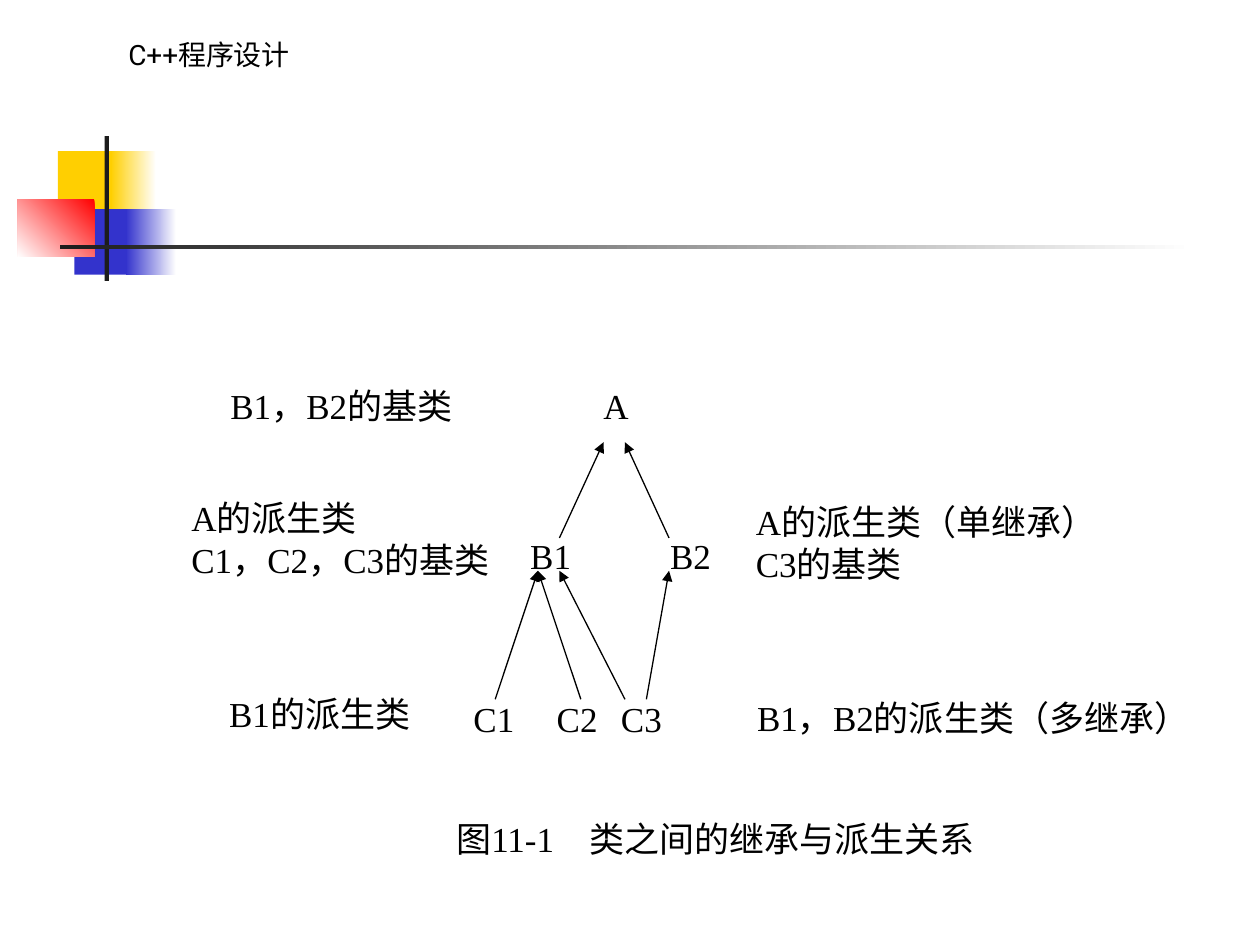
from dataclasses import dataclass, field
from lxml.etree import SubElement
from pptx import Presentation
from pptx.dml.color import RGBColor
from pptx.enum.shapes import MSO_CONNECTOR as Connector, MSO_SHAPE as Shape
from pptx.enum.text import MSO_AUTO_SIZE as AutoSize, PP_ALIGN as Align
from pptx.oxml.ns import qn
from pptx.slide import Slide
from pptx.util import Inches, Pt

COLUMNS, ROWS = 100, 75
COLORS = {
    "white": "FFFFFF", "black": "000000", "ink": "1C1C1C",
    "yellow": "FFCF01", "blue": "3333CC", "red": "FF0000",
}
HEADER = {"font": {"name": "Roboto", "size": Pt(16)}, "paragraph": {"alignment": Align.LEFT},
          "frame": {"auto_size": AutoSize.SHAPE_TO_FIT_TEXT}}
BODY = {"font": {"name": "Times New Roman", "size": Pt(20)},
        "paragraph": {"alignment": Align.JUSTIFY}, "frame": {"auto_size": AutoSize.NONE}}
CAPTION = BODY | {"paragraph": {"alignment": Align.CENTER, "space_after": Pt(6)}}


def rgb(name):
    """Return the named colour."""
    return RGBColor.from_string(COLORS[name])


def apply(target, values):
    """Set every attribute listed in a dict of format values."""
    for name, value in values.items():
        setattr(target, name, value)


@dataclass
class Canvas:
    """Draw styled elements on one slide, measured in grid columns and rows."""

    slide: Slide
    width: int
    height: int
    line: dict = field(default_factory=lambda: {"width": Pt(0.75)})

    def grid(self, *values):
        """Turn alternating columns and rows into slide lengths."""
        units = (self.width / COLUMNS, self.height / ROWS)
        return [round(value * units[index % 2]) for index, value in enumerate(values)]

    def block(self, area, *colors, angle=180):
        """Draw a rectangle with a solid or two-stop gradient fill."""
        shape = self.slide.shapes.add_shape(Shape.RECTANGLE, *self.grid(*area))
        shape.shadow.inherit = False
        shape.line.fill.background()
        if len(colors) == 1:
            shape.fill.solid()
            shape.fill.fore_color.rgb = rgb(colors[0])
            return
        shape.fill.gradient()
        shape.fill.gradient_angle = angle
        for position, (stop, color) in enumerate(zip(shape.fill.gradient_stops, colors)):
            stop.position = position
            stop.color.rgb = rgb(color)

    def text(self, area, *lines, style=BODY):
        """Write one paragraph per line in a wrapping text box."""
        frame = self.slide.shapes.add_textbox(*self.grid(*area)).text_frame
        apply(frame, {"word_wrap": True} | style["frame"])
        frame.text = "\n".join(lines)
        for paragraph in frame.paragraphs:
            apply(paragraph, style["paragraph"])
            for run in paragraph.runs:
                apply(run.font, style["font"])
                run.font.color.rgb = rgb("black")

    def arrow(self, start, end):
        """Draw a thin line with a triangle head at its end."""
        connector = self.slide.shapes.add_connector(Connector.STRAIGHT, *self.grid(*start, *end))
        apply(connector.line, self.line)
        connector.line.color.rgb = rgb("black")
        SubElement(connector.line._get_or_add_ln(), qn("a:tailEnd"), type="triangle")
        SubElement(connector._element.spPr, qn("a:effectLst"))


def main():
    """Build the class inheritance slide."""
    presentation = Presentation()
    apply(presentation, {"slide_width": Inches(10), "slide_height": Inches(7.5)})
    slide = presentation.slides.add_slide(presentation.slide_layouts[6])
    canvas = Canvas(slide, presentation.slide_width, presentation.slide_height)

    canvas.block((4.6, 12, 4.8, 5.2), "yellow")
    canvas.block((8.8, 12, 3.6, 5.2), "white", "yellow")
    canvas.block((5.9, 16.6, 4.6, 5.2), "blue")
    canvas.block((10, 16.6, 4, 5.2), "white", "blue")
    canvas.block((1.4, 15.8, 6.1, 4.6), "red", "white", angle=225)
    canvas.block((8.3, 10.8, 0.35, 11.5), "ink")
    canvas.block((4.8, 19.45, 90, 0.35), "white", "ink")
    canvas.text((9.2, 2.5, 16.8, 3.7), "C++程序设计", style=HEADER)

    class_row, base_row, derived_row = 41.9, 30, 54.9
    classes = {
        "A": (46.9, base_row), "B1": (41.1, class_row), "B2": (52.2, class_row),
        "C1": (36.6, derived_row), "C2": (43.2, derived_row), "C3": (48.3, derived_row),
    }
    for name, corner in classes.items():
        canvas.text((*corner, 13, 7.6), name)

    derived_arrows = [(46.1, 42.7), (39.3, 42.7), (49.6, 44.4), (51.3, 53.1)]
    base_arrows = [(53.1, 49.6), (44.4, 47.9)]
    for arrows, bottom, top in ((derived_arrows, 55.5, 45.3), (base_arrows, 42.7, 35.1)):
        for start, end in arrows:
            canvas.arrow((start, bottom), (end, top))

    canvas.text((17.3, base_row, 22.8, 7.6), "B1，B2的基类")
    canvas.text((14.2, 38.9, 25.8, 9.4), "A的派生类", "C1，C2，C3的基类")
    canvas.text((59, 39.2, 32.7, 9), "A的派生类（单继承）", "C3的基类")
    canvas.text((17.2, 54.5, 21.8, 12.7), "B1的派生类")
    canvas.text((59.1, 54.8, 37.5, 5.3), "B1，B2的派生类（多继承）")
    canvas.text((32.8, 64.4, 48, 5.6), "图11-1　类之间的继承与派生关系", style=CAPTION)
    presentation.save("out.pptx")


if __name__ == "__main__":
    main()
